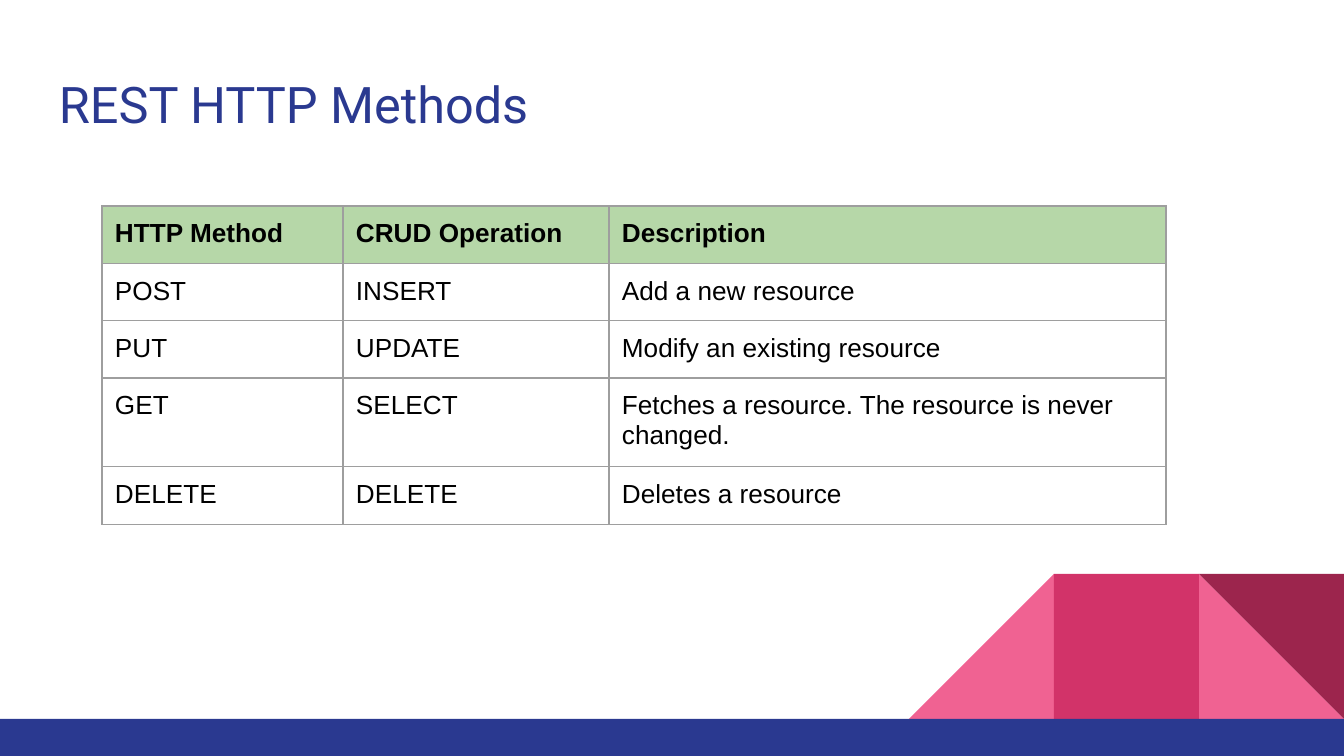
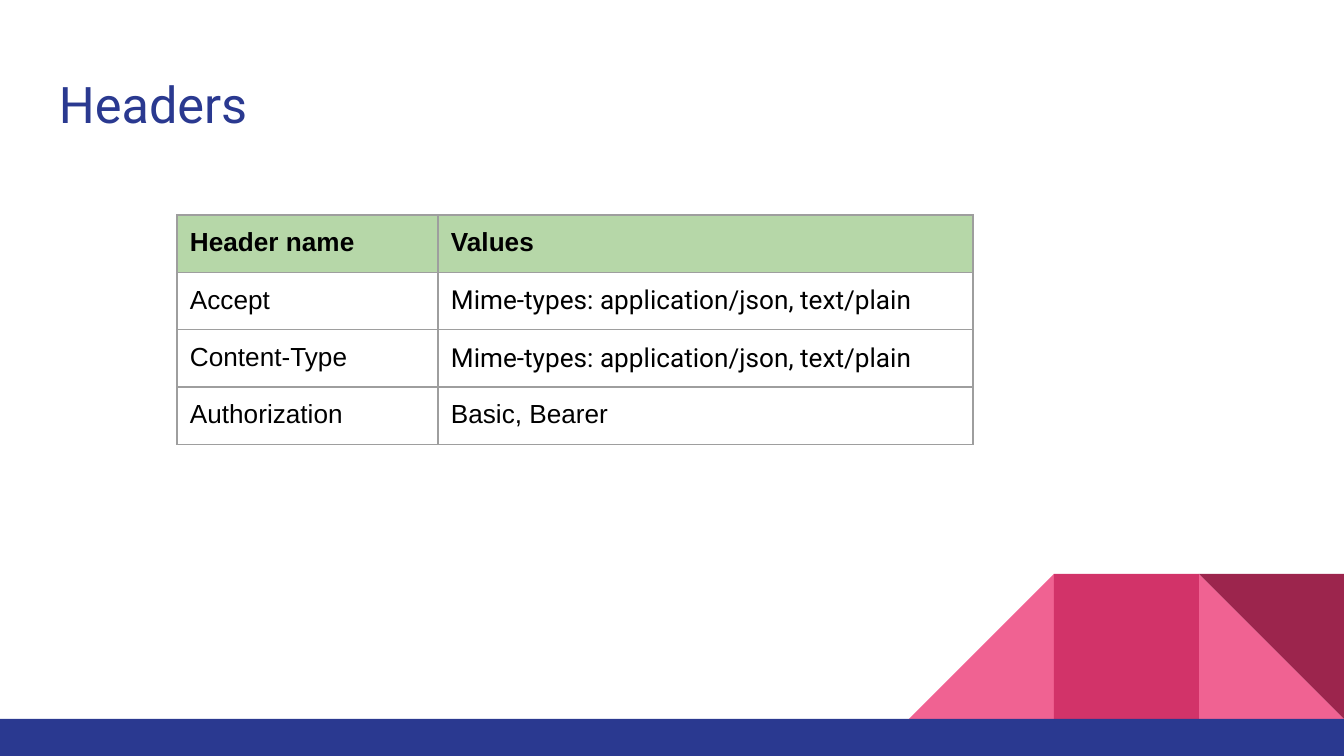
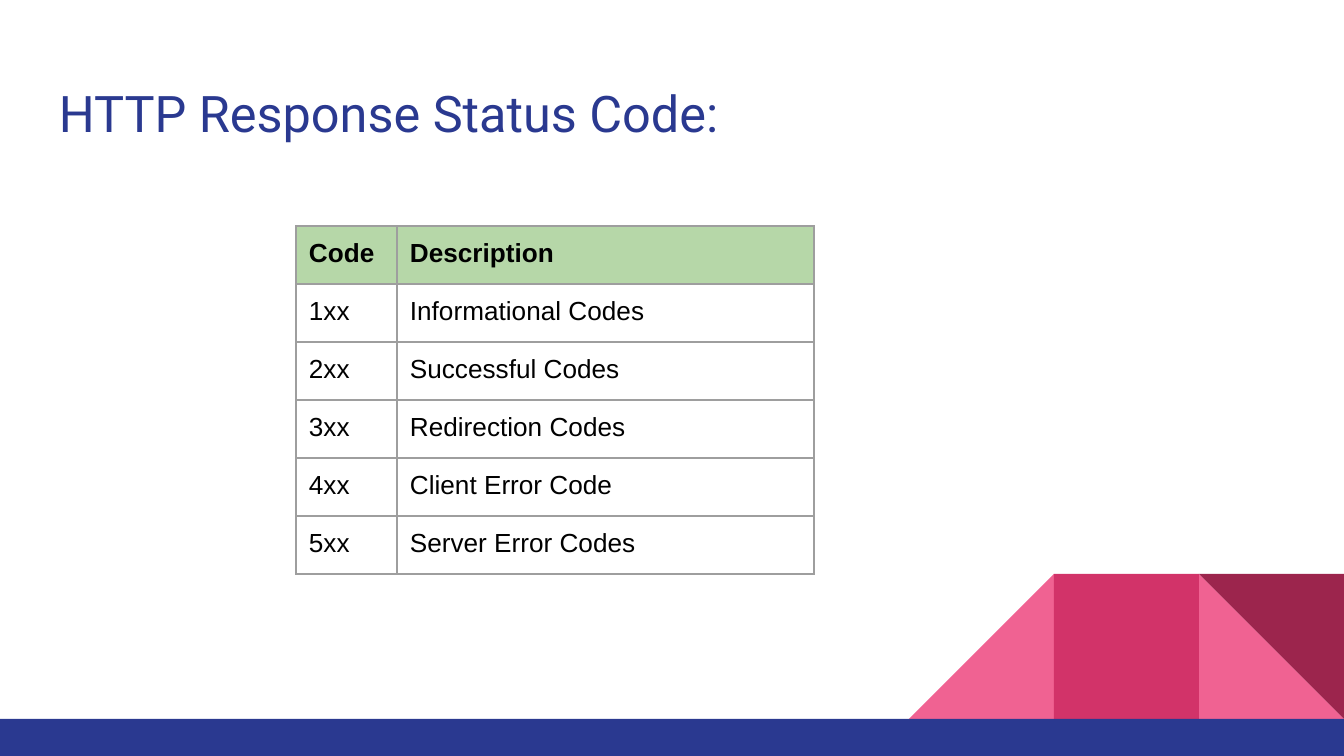
"""Build three slides of REST reference tables with a shared title and footer."""
from lxml.etree import SubElement as Sub
from pptx import Presentation
from pptx.dml.color import RGBColor as RGB
from pptx.enum.shapes import MSO_SHAPE as Kind
from pptx.enum.text import MSO_ANCHOR as Anchor
from pptx.oxml.ns import qn
from pptx.util import Pt

SCALE = 914400 / 134.4
WIDE, HIGH = 1344, 756
PAD, SIDE, BAND = 13, 145, 37

WHITE = RGB(0xFF, 0xFF, 0xFF)
BLACK = RGB(0, 0, 0)
NAVY = RGB(0x2A, 0x39, 0x90)
PINK = RGB(0xF0, 0x62, 0x92)
ROSE = RGB(0xD2, 0x33, 0x69)
WINE = RGB(0x9C, 0x25, 0x4D)
GREEN = RGB(0xB6, 0xD7, 0xA8)
GRAY = "9E9E9E"

TITLE = {"size": Pt(27), "name": "Roboto"}
BODY = {"size": Pt(14), "name": "Arial", "bold": False}
HEAD = BODY | {"bold": True}
MIME = BODY | {"name": "Roboto"}
LOOSE = {"line_spacing": 1.15, "space_after": Pt(12)}

METHODS = [
    ["HTTP Method", "CRUD Operation", "Description"],
    ["POST", "INSERT", "Add a new resource"],
    ["PUT", "UPDATE", "Modify an existing resource"],
    ["GET", "SELECT", "Fetches a resource. The resource is never changed."],
    ["DELETE", "DELETE", "Deletes a resource"],
]
TYPES = "Mime-types: application/json, text/plain"
HEADERS = [
    ["Header name", "Values"],
    ["Accept", TYPES],
    ["Content-Type", TYPES],
    ["Authorization", "Basic, Bearer"],
]
CODES = [
    ["Code", "Description"],
    ["1xx", "Informational Codes"],
    ["2xx", "Successful Codes"],
    ["3xx", "Redirection Codes"],
    ["4xx", "Client Error Code"],
    ["5xx", "Server Error Codes"],
]


def px(*nums):
    """Turn pixels into a list of EMU lengths."""
    return [round(num * SCALE) for num in nums]


def apply(item, look):
    """Set each format value of a dict on an object."""
    for key, val in look.items():
        setattr(item, key, val)


def write(frame, text, look, color, para=None):
    """Put one styled paragraph into a padded text frame."""
    pad, = px(PAD)
    apply(frame, {f"margin_{edge}": pad for edge in ("left", "right", "top", "bottom")})
    frame.word_wrap = True
    line = frame.paragraphs[0]
    apply(line, para or {})
    run = line.add_run()
    run.text = text
    apply(run.font, look)
    run.font.color.rgb = color


def block(slide, kind, box, color, turn=0):
    """Draw a plain filled shape."""
    shape = slide.shapes.add_shape(kind, *px(*box))
    shape.rotation = turn
    shape.shadow.inherit = False
    shape.fill.solid()
    shape.fill.fore_color.rgb = color
    shape.line.fill.background()


def footer(slide):
    """Draw the folded ribbon and the band below it."""
    base = HIGH - BAND
    parts = [
        (1, Kind.RIGHT_TRIANGLE, PINK, 0),
        (3, Kind.RIGHT_TRIANGLE, PINK, 270),
        (2, Kind.RECTANGLE, ROSE, 0),
        (1, Kind.RIGHT_TRIANGLE, WINE, 180),
    ]
    for step, kind, color, turn in parts:
        block(slide, kind, (WIDE - step * SIDE, base - SIDE, SIDE, SIDE), color, turn)
    block(slide, Kind.RECTANGLE, (0, base, WIDE, BAND), NAVY)


def border(cell):
    """Give a cell thin gray edges."""
    props = cell._tc.get_or_add_tcPr()
    for spot, edge in enumerate(("lnL", "lnR", "lnT", "lnB")):
        line = props.makeelement(qn(f"a:{edge}"), {"w": str(Pt(0.75))})
        fill = Sub(line, qn("a:solidFill"))
        Sub(fill, qn("a:srgbClr"), val=GRAY)
        props.insert(spot, line)


def grid(slide, left, top, cols, high, rows):
    """Draw a bordered table with a green head row."""
    box = px(left, top, sum(cols), high * len(rows))
    table = slide.shapes.add_table(len(rows), len(cols), *box).table
    apply(table, {"first_row": False, "horz_banding": False})
    for col, wide in zip(table.columns, px(*cols)):
        col.width = wide
    for r, row in enumerate(rows):
        table.rows[r].height, = px(high)
        for c, text in enumerate(row):
            cell = table.cell(r, c)
            look = HEAD if r == 0 else MIME if text == TYPES else BODY
            write(cell.text_frame, text, look, BLACK)
            pad, = px(PAD)
            apply(cell, {"margin_top": pad, "margin_bottom": pad,
                         "margin_left": pad, "margin_right": pad})
            if r == 0:
                cell.fill.solid()
                cell.fill.fore_color.rgb = GREEN
            else:
                cell.fill.background()
            border(cell)


def page(deck, title, para=None):
    """Add a slide with its footer and title."""
    slide = deck.slides.add_slide(deck.slide_layouts[6])
    slide.background.fill.solid()
    slide.background.fill.fore_color.rgb = WHITE
    footer(slide)
    frame = slide.shapes.add_textbox(*px(46, 60, 1253, 89)).text_frame
    frame.vertical_anchor = Anchor.TOP
    write(frame, title, TITLE, NAVY, para)
    return slide


def main():
    """Build and save the deck."""
    deck = Presentation()
    deck.slide_width, deck.slide_height = px(WIDE, HIGH)
    grid(page(deck, "REST HTTP Methods"), 102, 206, (241, 266, 557), 56, METHODS)
    grid(page(deck, "Headers"), 177, 215, (261, 535), 56, HEADERS)
    slide = page(deck, "HTTP Response Status Code:", LOOSE)
    grid(slide, 296, 226, (101, 417), 58, CODES)
    deck.save("out.pptx")


main()
